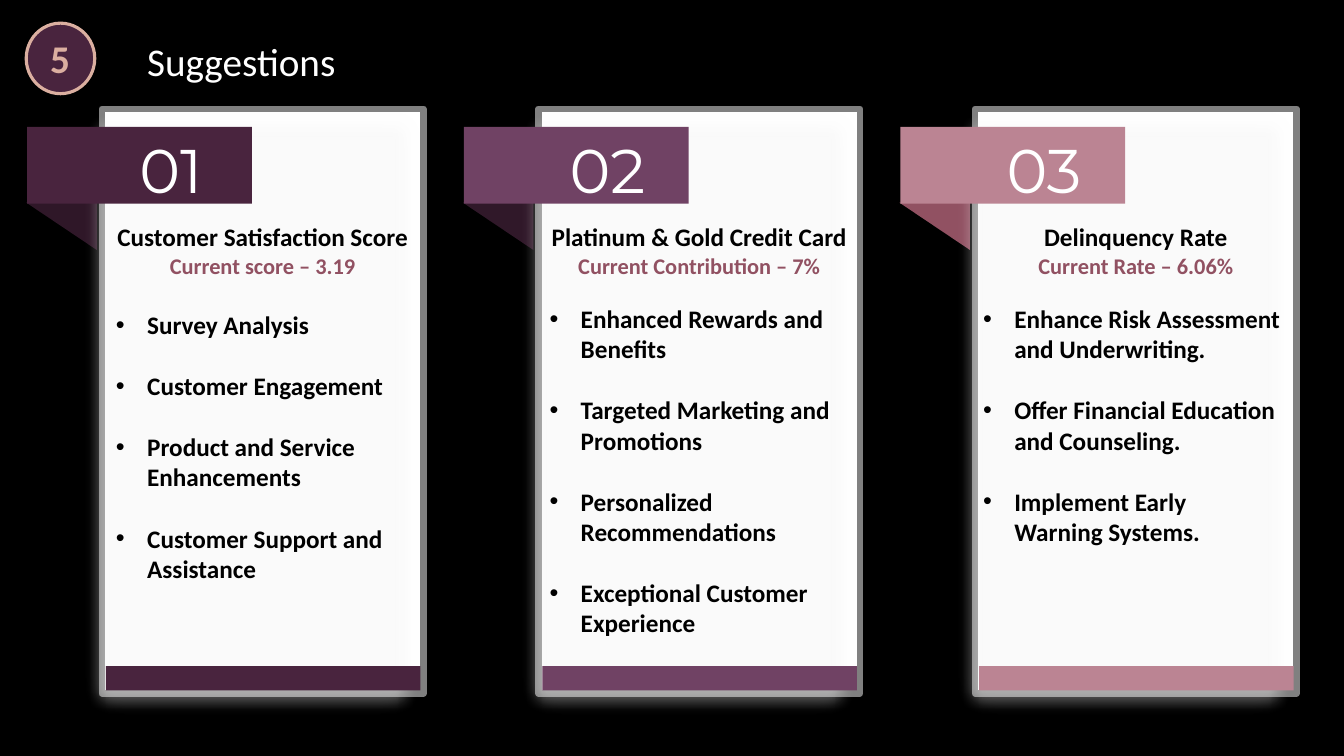
from dataclasses import dataclass

from lxml import etree
from pptx import Presentation
from pptx.dml import color
from pptx.enum import shapes, text
from pptx.oxml import ns
from pptx.util import Inches, Pt


@dataclass(frozen=True)
class Theme:
    """Colours, fonts and type sizes of the slide."""
    black: str = "000000"
    white: str = "FFFFFF"
    border: str = "808080"
    glow: str = "F2F2F2"
    plum: str = "49243E"
    peach: str = "DBAFA0"
    rose: str = "915162"
    body_font: str = "Calibri"
    number_font: str = "Montserrat"
    title_size: int = 28
    number_size: int = 44
    text_size: int = 18
    status_size: int = 16


THEME = Theme()
FIRST_LEFT, PITCH = 1.01, 4.33
CARDS = [
    dict(number="01", fill=THEME.plum, fold="2F1728",
         heading="Customer Satisfaction Score", status="Current score – 3.19",
         list_at=(1.05, 3.02, 3.12, 3.13),
         items=["Survey Analysis", "Customer Engagement",
                "Product and Service Enhancements",
                "Customer Support and Assistance"]),
    dict(number="02", fill="704264", fold="301829",
         heading="Platinum & Gold Credit Card",
         status="Current Contribution – 7%",
         list_at=(5.35, 2.96, 3.18, 3.74),
         items=["Enhanced Rewards and Benefits",
                "Targeted Marketing and Promotions",
                "Personalized Recommendations",
                "Exceptional Customer Experience"]),
    dict(number="03", fill="BB8493", fold=THEME.rose,
         heading="Delinquency Rate", status="Current Rate – 6.06%",
         list_at=(9.65, 2.96, 3.15, 2.83),
         items=["Enhance Risk Assessment and Underwriting.",
                "Offer Financial Education and Counseling.",
                "Implement Early Warning Systems."]),
]


def rgb(value):
    """Turn a hex string into a colour."""
    return color.RGBColor.from_string(value)


def place(box, left, top, width, height):
    """Move and size a box, in inches."""
    box.left, box.top = Inches(left), Inches(top)
    box.width, box.height = Inches(width), Inches(height)


def add_block(parent, kind, at, fill, line=None, weight=0):
    """Add a filled preset shape without shadow."""
    block = parent.add_shape(kind, *map(Inches, at))
    block.shadow.inherit = False
    block.fill.solid()
    block.fill.fore_color.rgb = rgb(fill)
    if line:
        block.line.color.rgb = rgb(line)
        block.line.width = Pt(weight)
    else:
        block.line.fill.background()
    return block


def add_glow(parent, at):
    """Add a translucent rectangle with soft edges."""
    glow = add_block(parent, shapes.MSO_SHAPE.RECTANGLE, at, THEME.glow)
    tint = next(glow._element.iter(ns.qn("a:srgbClr")))
    etree.SubElement(tint, ns.qn("a:alpha"), val="40000")
    effects = next(glow._element.iter(ns.qn("a:effectLst")))
    etree.SubElement(effects, ns.qn("a:softEdge"), rad=str(Pt(12.5)))


def set_bullet(para):
    """Give a paragraph a round bullet with a hanging indent."""
    props = para._p.get_or_add_pPr()
    props.set("marL", str(Inches(0.31)))
    props.set("indent", str(-Inches(0.31)))
    etree.SubElement(props, ns.qn("a:buFont"), typeface="Arial")
    etree.SubElement(props, ns.qn("a:buChar"), char="•")


def write(para, words, size=THEME.text_size, ink=THEME.black, bold=False,
          font=THEME.body_font, align=text.PP_ALIGN.LEFT, before=0, bullet=False):
    """Write one formatted paragraph."""
    if bullet:
        set_bullet(para)
    para.alignment = align
    para.space_before = Pt(before)
    span = para.add_run()
    span.text = words
    span.font.name, span.font.size, span.font.bold = font, Pt(size), bold
    span.font.color.rgb = rgb(ink)


def prepare(box):
    """Set wrapping, top anchoring and growth, and return the text frame."""
    frame = box.text_frame
    frame.word_wrap = True
    frame.vertical_anchor = text.MSO_ANCHOR.TOP
    frame.auto_size = text.MSO_AUTO_SIZE.SHAPE_TO_FIT_TEXT
    return frame


def add_text(parent, at, words, **style):
    """Add a text box holding one paragraph and return its frame."""
    frame = prepare(parent.add_textbox(*map(Inches, at)))
    write(frame.paragraphs[0], words, **style)
    return frame


def fill_list(box, at, items):
    """Place a body placeholder in front and fill it with bullets."""
    box._element.getparent().append(box._element)
    place(box, *at)
    frame = prepare(box)
    for index, item in enumerate(items):
        para = frame.add_paragraph() if index else frame.paragraphs[0]
        write(para, item, bold=True, bullet=True, before=22 if index else 0)


def add_badge(page):
    """Add the round section number."""
    badge = page.shapes.add_group_shape().shapes
    add_block(badge, shapes.MSO_SHAPE.OVAL, (0.26, 0.23, 0.68, 0.7),
              THEME.plum, THEME.peach, 2.25)
    add_text(badge, (0.4, 0.29, 0.43, 0.57), "5", size=THEME.title_size,
             ink=THEME.peach, bold=True)


def add_card(page, left, card, body):
    """Add one numbered card with its ribbon, heading and list."""
    parent, kinds = page.shapes, shapes.MSO_SHAPE
    centre = text.PP_ALIGN.CENTER
    fold = add_block(parent, kinds.RIGHT_TRIANGLE,
                     (left - 0.75, 2.01, 0.7, 0.47), card["fold"])
    fold.rotation = 180
    add_block(parent, kinds.RECTANGLE, (left, 1.08, 3.19, 5.8),
              THEME.white, THEME.border, 4.5)
    add_glow(parent, (left - 0.26, 1.02, 3.5, 6.16))
    add_block(parent, kinds.RECTANGLE, (left - 0.74, 1.26, 2.23, 0.76), card["fill"])
    add_block(parent, kinds.RECTANGLE, (left + 0.04, 6.61, 3.12, 0.24), card["fill"])
    add_text(parent, (left + 0.04, 1.26, 1.29, 0.84), card["number"],
             size=THEME.number_size, ink=THEME.white,
             font=THEME.number_font, align=centre)
    frame = add_text(parent, (left, 2.15, 3.19, 0.67), card["heading"],
                     bold=True, align=centre)
    write(frame.add_paragraph(), card["status"], size=THEME.status_size,
          ink=THEME.rose, bold=True, align=centre)
    fill_list(body, card["list_at"], card["items"])


def main():
    """Build the suggestions slide."""
    deck = Presentation()
    deck.slide_width, deck.slide_height = Inches(13.33), Inches(7.5)
    page = deck.slides.add_slide(deck.slide_layouts.get_by_name("Comparison"))
    page.background.fill.solid()
    page.background.fill.fore_color.rgb = rgb(THEME.black)
    title, *bodies = page.placeholders
    spare = bodies.pop()._element
    spare.getparent().remove(spare)
    place(title, 1.36, 0.32, 2.73, 1.04)
    write(prepare(title).paragraphs[0], "Suggestions",
          size=THEME.title_size, ink=THEME.white)
    add_badge(page)
    for index, (card, body) in enumerate(zip(CARDS, bodies)):
        add_card(page, FIRST_LEFT + index * PITCH, card, body)
    deck.save("out.pptx")


if __name__ == "__main__":
    main()
